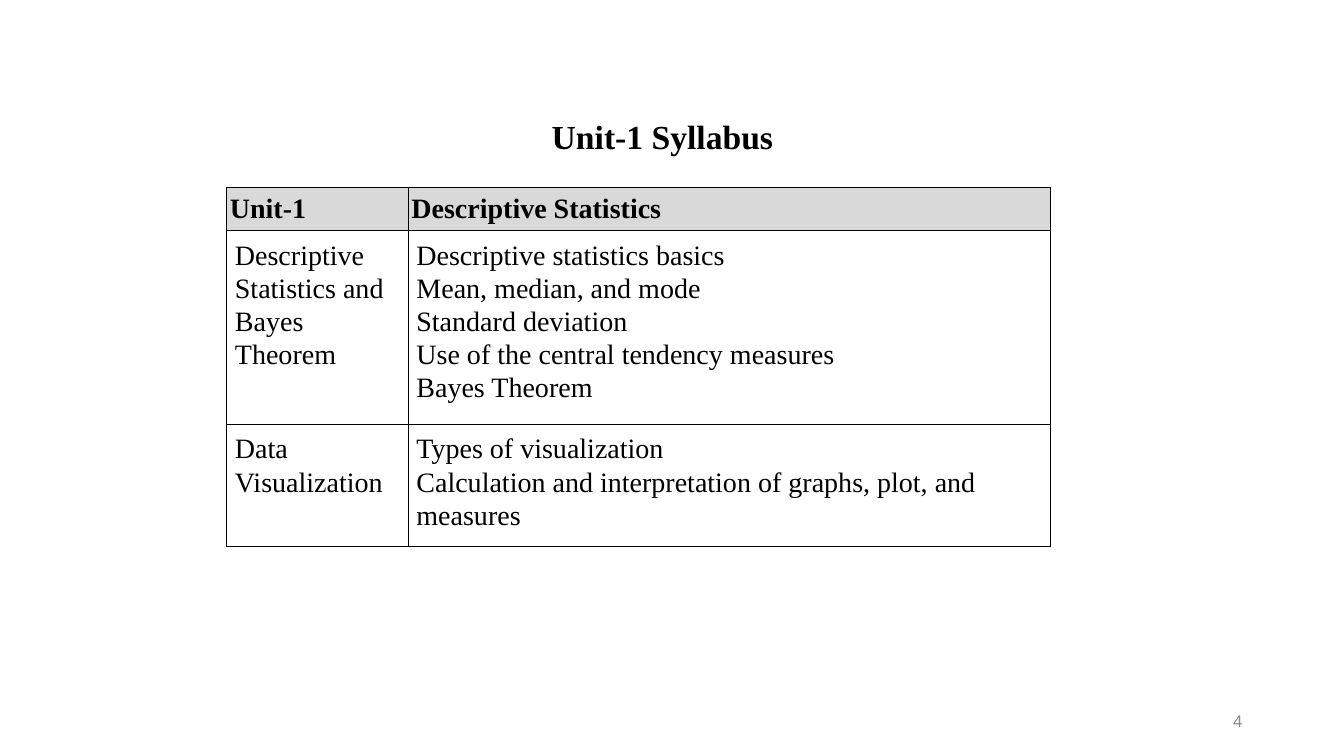
"""Build the Unit-1 syllabus slide with its table of topics."""
from lxml.etree import SubElement
from pptx import Presentation
from pptx.dml.color import RGBColor
from pptx.enum.text import MSO_ANCHOR, PP_ALIGN
from pptx.oxml.ns import qn
from pptx.util import Inches, Pt

SERIF = "Times New Roman"


def add_text(para, text, size, font, color, bold=False):
    for index, line in enumerate(text.split("\n")):
        if index:
            para.add_line_break()
        span = para.add_run()
        span.text = line
        span.font.size = Pt(size)
        span.font.name = font
        span.font.bold = bold
        span.font.color.rgb = RGBColor.from_string(color)


def add_borders(cell, color, width):
    properties = cell._tc.get_or_add_tcPr()
    for side in ("a:lnL", "a:lnR", "a:lnT", "a:lnB"):
        line = SubElement(properties, qn(side), w=str(Pt(width)))
        fill = SubElement(line, qn("a:solidFill"))
        SubElement(fill, qn("a:srgbClr"), val=color)


deck = Presentation()
deck.slide_width = Inches(13.33)
deck.slide_height = Inches(7.5)
page = deck.slides.add_slide(deck.slide_layouts[5])

title = page.shapes.title
title.left, title.top = Inches(2.26), Inches(1.02)
title.width, title.height = Inches(8.62), Inches(0.7)
title.text_frame.vertical_anchor = MSO_ANCHOR.MIDDLE
para = title.text_frame.paragraphs[0]
para.alignment = PP_ALIGN.CENTER
para.line_spacing = 0.9
add_text(para, "Unit-1 Syllabus", 24, SERIF, "000000", True)

number_box = page.shapes.add_textbox(Inches(9.42), Inches(6.95), Inches(3), Inches(0.4))
number_box.text_frame.word_wrap = True
number_box.text_frame.vertical_anchor = MSO_ANCHOR.MIDDLE
para = number_box.text_frame.paragraphs[0]
para.alignment = PP_ALIGN.RIGHT
add_text(para, "4", 12, "Arial", "898989")

topics = [
    (["Unit-1"], ["Descriptive Statistics"]),
    (["Descriptive Statistics and Bayes Theorem"],
     ["Descriptive statistics basics\nMean, median, and mode\nStandard deviation\n"
      "Use of the central tendency measures\nBayes Theorem"]),
    (["Data Visualization"],
     ["Types of visualization",
      "Calculation and interpretation of graphs, plot, and measures"]),
]
column_widths = [1.8, 6.37]
row_heights = [0.43, 1.79, 1.2]
last_space_after = [0.8, 8]

table = page.shapes.add_table(
    len(row_heights), len(column_widths), Inches(2.25), Inches(1.86),
    Inches(sum(column_widths)), Inches(sum(row_heights))).table
table.first_row = False
table.horz_banding = False
for column, width in zip(table.columns, column_widths):
    column.width = Inches(width)
for row, height in zip(table.rows, row_heights):
    row.height = Inches(height)

for row_index, row_topics in enumerate(topics):
    is_header = row_index == 0
    for column_index, lines in enumerate(row_topics):
        cell = table.cell(row_index, column_index)
        cell.margin_left = cell.margin_right = Inches(0.03 if is_header else 0.08)
        cell.margin_top = cell.margin_bottom = Inches(0.03 if is_header else 0.07)
        cell.vertical_anchor = MSO_ANCHOR.MIDDLE if is_header else MSO_ANCHOR.TOP
        add_borders(cell, "000000", 1)
        if is_header:
            cell.fill.solid()
            cell.fill.fore_color.rgb = RGBColor.from_string("D9D9D9")
        else:
            cell.fill.background()
        frame = cell.text_frame
        for line_index, line in enumerate(lines):
            para = frame.add_paragraph() if line_index else frame.paragraphs[0]
            add_text(para, line, 20, SERIF, "000000", is_header)
            para.alignment = PP_ALIGN.JUSTIFY if is_header else PP_ALIGN.LEFT
            if not is_header:
                para.line_spacing = 1.07
        if not is_header:
            para.space_after = Pt(last_space_after[column_index])

deck.save("out.pptx")
